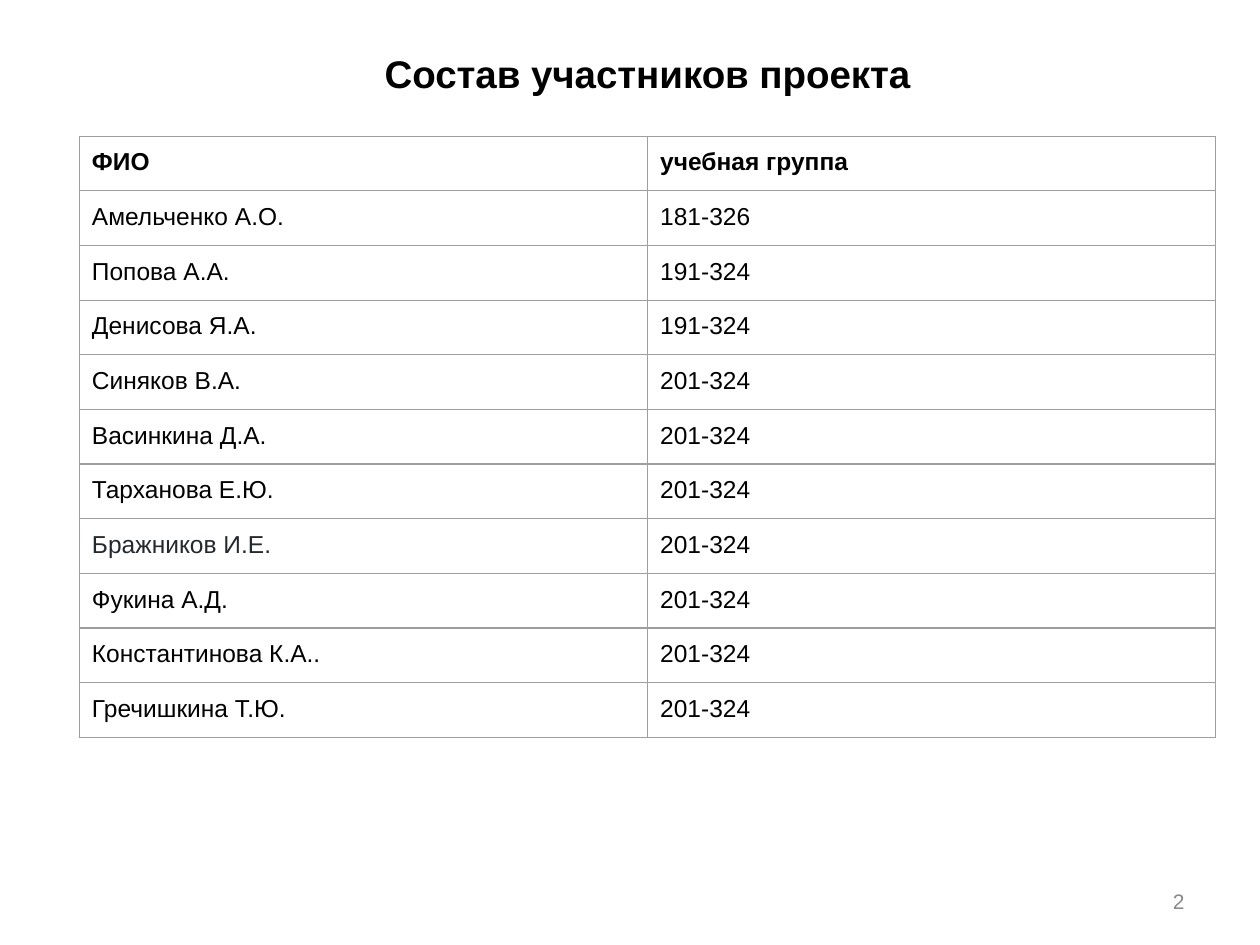
from lxml import etree
from pptx import Presentation
from pptx.dml.color import RGBColor
from pptx.enum import text as t
from pptx.oxml.ns import qn
from pptx.util import Inches, Pt

BLACK = RGBColor(0, 0, 0)
INK = RGBColor(0x24, 0x29, 0x2E)
GREY = RGBColor(0x88, 0x88, 0x88)
RULE = RGBColor(0x9E, 0x9E, 0x9E)
WHITE = RGBColor(0xFF, 0xFF, 0xFF)

TITLE = "Состав участников проекта"
PAGE = "2"
ROWS = [
    ("ФИО", "учебная группа"),
    ("Амельченко А.О.", "181-326"),
    ("Попова А.А.", "191-324"),
    ("Денисова Я.А.", "191-324"),
    ("Синяков В.А.", "201-324"),
    ("Васинкина Д.А.", "201-324"),
    ("Тарханова Е.Ю.", "201-324"),
    ("Бражников И.Е.", "201-324"),
    ("Фукина А.Д.", "201-324"),
    ("Константинова К.А..", "201-324"),
    ("Гречишкина Т.Ю.", "201-324"),
]
TONES = {"Бражников И.Е.": INK}
LEFT, TOP, WIDTH, HEIGHT = 0.63, 1.08, 9.02, 4.6
PAD = Inches(0.1)


def style(para, size, color=BLACK, bold=False):
    font = para.font
    font.name, font.size, font.bold = "Arial", Pt(size), bold
    font.color.rgb = color


def add_text(slide, box, words, align, anchor, pad, size, color, bold):
    frame = slide.shapes.add_textbox(*map(Inches, box)).text_frame
    frame.word_wrap = True
    frame.vertical_anchor = anchor
    frame.margin_left = frame.margin_right = PAD
    frame.margin_top = frame.margin_bottom = Inches(pad)
    para = frame.paragraphs[0]
    para.text, para.alignment = words, align
    style(para, size, color, bold)


def add_edges(cell):
    """Draw a thin rule on all four sides; lines must precede the fill."""
    props = cell._tc.get_or_add_tcPr()
    for i, side in enumerate(("lnL", "lnR", "lnT", "lnB")):
        line = etree.Element(qn(f"a:{side}"), w=str(Pt(0.75)))
        fill = etree.SubElement(line, qn("a:solidFill"))
        etree.SubElement(fill, qn("a:srgbClr"), val=str(RULE))
        props.insert(i, line)


def add_roster(slide):
    box = map(Inches, (LEFT, TOP, WIDTH, HEIGHT))
    table = slide.shapes.add_table(len(ROWS), len(ROWS[0]), *box).table
    table.first_row = table.horz_banding = False
    for r, row in enumerate(ROWS):
        table.rows[r].height = Inches(HEIGHT / len(ROWS))
        for c, words in enumerate(row):
            cell = table.cell(r, c)
            cell.margin_left = cell.margin_right = PAD
            cell.margin_top = cell.margin_bottom = PAD
            cell.fill.solid()
            cell.fill.fore_color.rgb = WHITE
            add_edges(cell)
            cell.text = words
            style(cell.text_frame.paragraphs[0], 14,
                  TONES.get(words, BLACK), r == 0)


def main():
    deck = Presentation()
    deck.slide_width, deck.slide_height = Inches(10), Inches(7.5)
    slide = deck.slides.add_slide(deck.slide_layouts[6])
    add_text(slide, (7.17, 6.95, 2.33, 0.4), PAGE, t.PP_ALIGN.RIGHT,
             t.MSO_ANCHOR.MIDDLE, 0.05, 12, GREY, False)
    add_text(slide, (0.73, 0.3, 8.82, 0.69), TITLE, t.PP_ALIGN.CENTER,
             t.MSO_ANCHOR.TOP, 0.1, 22, BLACK, True)
    add_roster(slide)
    deck.save("out.pptx")


if __name__ == "__main__":
    main()
